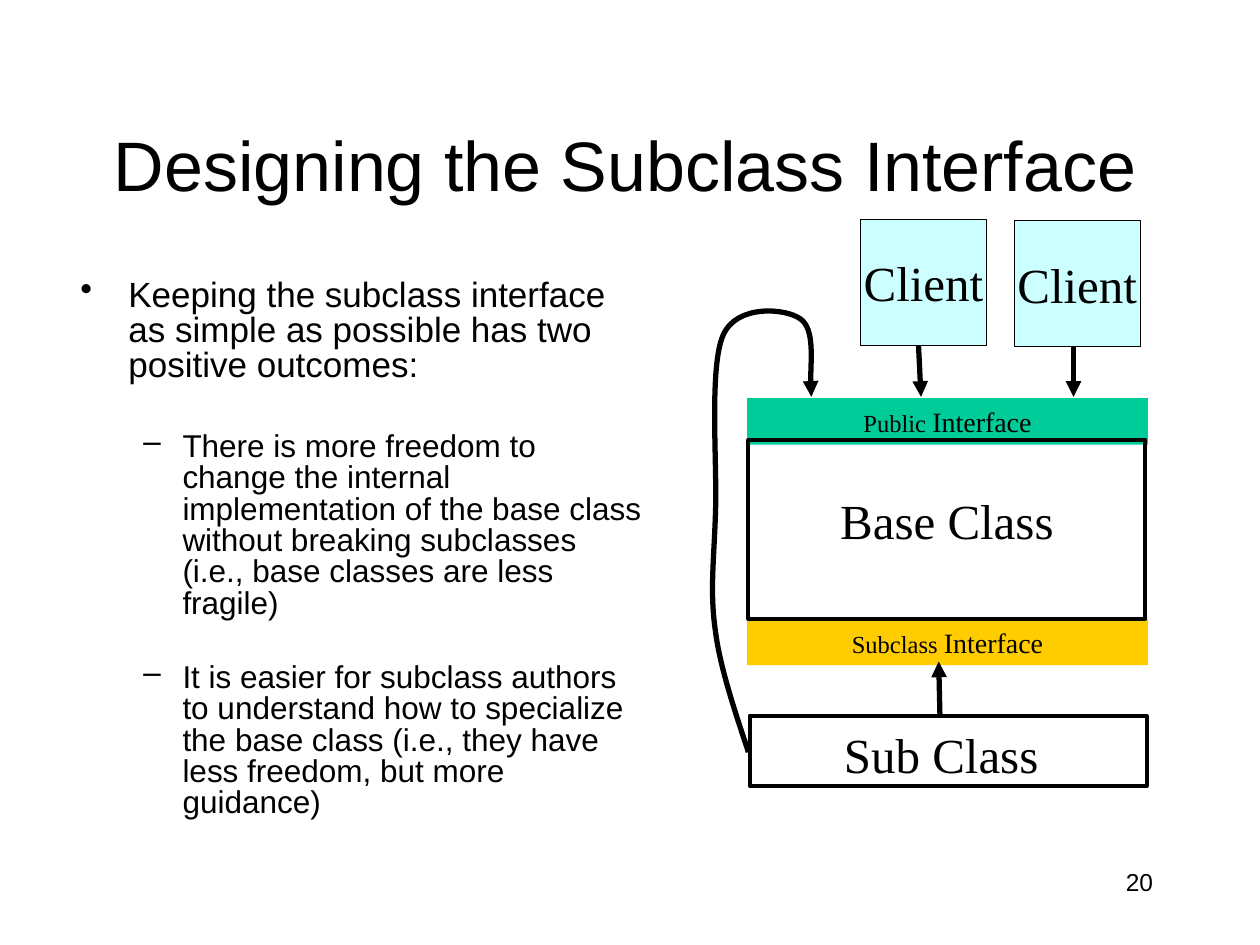
from dataclasses import dataclass
from typing import NamedTuple

import pptx
import pptx.dml.color
import pptx.enum.shapes
import pptx.enum.text
import pptx.oxml.ns
import pptx.oxml.xmlchemy
import pptx.util

COLUMNS, ROWS = 100, 75
CELL = pptx.util.Inches(0.1)
ALIGN = pptx.enum.text.PP_ALIGN
ANCHOR = pptx.enum.text.MSO_ANCHOR
SHAPE = pptx.enum.shapes.MSO_SHAPE


@dataclass(frozen=True)
class Theme:
    ink: str = "000000"
    client: str = "CCFFFF"
    public: str = "00CC99"
    subclass: str = "FFCC00"
    sans: str = "Arial"
    serif: str = "Times New Roman"
    title: int = 40
    label: int = 28
    point: int = 20
    subpoint: int = 18
    bar: int = 16
    small: int = 14
    thin: float = 0.75
    border: float = 2.25
    arrow: float = 3


THEME = Theme()


class Area(NamedTuple):
    """Left, top, width and height in grid cells."""
    left: float
    top: float
    width: float
    height: float


class Block(NamedTuple):
    area: Area
    fill: str | None = None
    border: float | None = None


class Arrow(NamedTuple):
    start: tuple[float, float]
    end: tuple[float, float]


class Point(NamedTuple):
    text: str
    bullet: str
    size: int
    margin: float
    hanging: float
    before: float


CLIENTS = [Block(Area(left, top, 10, 10), THEME.client, THEME.thin)
           for left, top in ((68.3, 17.4), (80.5, 17.5))]
BARS = [("Public ", Block(Area(59.3, 31.6, 31.8, 3.7), THEME.public)),
        ("Subclass ", Block(Area(59.3, 49.1, 31.8, 3.7), THEME.subclass))]
CLASSES = [
    ("Base Class", Block(Area(59.4, 34.9, 31.5, 14.2), border=THEME.border),
     Area(65.7, 38.4, 18.9, 5.7)),
    ("Sub Class", Block(Area(59.5, 56.8, 31.5, 5.6), border=THEME.border),
     Area(66, 57, 17.4, 5.7)),
]
ARROWS = [Arrow((72.9, 27.4), (73.1, 31.5)),
          Arrow((85.2, 27.5), (85.2, 31.5)),
          Arrow((74.6, 56.8), (74.5, 52.5))]
# A start, then two control points and an end for each curve
LOOP = [(59.4, 59.7),
        (58.9, 58.1), (57.2, 53.4), (56.8, 50.2),
        (56.3, 46.9), (56.7, 44.3), (56.8, 40.3),
        (56.9, 36.4), (56.3, 29.1), (57.4, 26.6),
        (58.5, 24.1), (62.4, 24.5), (63.5, 25.3),
        (64.7, 26.1), (64.2, 30.2), (64.4, 31.5)]
POINTS = [
    Point("Keeping the subclass interface as simple as possible has two "
          "positive outcomes:", "•", THEME.point, 3.8, 3.8, 0),
    Point("There is more freedom to change the internal implementation of the "
          "base class without breaking subclasses (i.e., base classes are "
          "less fragile)", "–", THEME.subpoint, 8.1, 3.1, 27.5),
    Point("It is easier for subclass authors to understand how to specialize "
          "the base class (i.e., they have less freedom, but more guidance)",
          "–", THEME.subpoint, 8.1, 3.1, 24.5),
]


def cells(count: float) -> int:
    return round(count * CELL)


def color(code: str) -> pptx.dml.color.RGBColor:
    return pptx.dml.color.RGBColor.from_string(code)


def write(para, text: str, *, size: float, font: str = THEME.sans, align=None) -> None:
    """Add one formatted span to a paragraph."""
    span = para.add_run()
    span.text = text
    span.font.size = pptx.util.Pt(size)
    span.font.name = font
    span.font.color.rgb = color(THEME.ink)
    if align is not None:
        para.alignment = align


def add_box(page, area: Area, *, anchor=ANCHOR.TOP, wrap: bool = True):
    box = page.shapes.add_textbox(*map(cells, area))
    box.text_frame.word_wrap = wrap
    box.text_frame.vertical_anchor = anchor
    return box.text_frame


def add_block(page, block: Block, *, wrap: bool = True):
    shape = page.shapes.add_shape(SHAPE.RECTANGLE, *map(cells, block.area))
    shape.shadow.inherit = False
    if block.fill:
        shape.fill.solid()
        shape.fill.fore_color.rgb = color(block.fill)
    else:
        shape.fill.background()
    if block.border:
        shape.line.color.rgb = color(THEME.ink)
        shape.line.width = pptx.util.Pt(block.border)
    else:
        shape.line.fill.background()
    shape.text_frame.word_wrap = wrap
    shape.text_frame.vertical_anchor = ANCHOR.MIDDLE
    return shape.text_frame


def add_child(parent, tag: str, **attributes: str):
    child = pptx.oxml.xmlchemy.OxmlElement(tag)
    for name, value in attributes.items():
        child.set(name, value)
    parent.append(child)
    return child


def style_arrow(shape) -> None:
    """Give a line its colour, weight and head, and no shadow."""
    shape.line.color.rgb = color(THEME.ink)
    shape.line.width = pptx.util.Pt(THEME.arrow)
    properties = shape._element.spPr
    add_child(properties.get_or_add_ln(), "a:tailEnd", type="triangle")
    add_child(properties, "a:effectLst")


def add_arrow(page, arrow: Arrow) -> None:
    style_arrow(page.shapes.add_connector(
        pptx.enum.shapes.MSO_CONNECTOR.STRAIGHT,
        *map(cells, arrow.start + arrow.end)))


def add_curve(page, points: list[tuple[float, float]]) -> None:
    """Build an open outline and turn each three segments into one curve."""
    spots = [(cells(x), cells(y)) for x, y in points]
    builder = page.shapes.build_freeform(*spots[0])
    builder.add_line_segments(spots[1:], close=False)
    shape = builder.convert_to_shape()
    shape.fill.background()
    segments = list(shape._element.iter(pptx.oxml.ns.qn("a:lnTo")))
    outline = segments[0].getparent()
    for first in range(0, len(segments), 3):
        curve = add_child(outline, "a:cubicBezTo")
        for segment in segments[first:first + 3]:
            curve.append(segment[0])
            outline.remove(segment)
    style_arrow(shape)


def add_point(para, point: Point) -> None:
    write(para, point.text, size=point.size)
    para.line_spacing = 0.83
    para.space_before = pptx.util.Pt(point.before)
    properties = para._p.get_or_add_pPr()
    properties.set("marL", str(cells(point.margin)))
    properties.set("indent", str(-cells(point.hanging)))
    add_child(properties, "a:buChar", char=point.bullet)


def main() -> None:
    deck = pptx.Presentation()
    deck.slide_width, deck.slide_height = cells(COLUMNS), cells(ROWS)
    page = deck.slides.add_slide(deck.slide_layouts[6])

    number = add_box(page, Area(71.7, 68.3, 20.8, 5))
    write(number.paragraphs[0], "20", size=THEME.small, align=ALIGN.RIGHT)
    title = add_box(page, Area(5, 6.7, 89.2, 12.5), anchor=ANCHOR.MIDDLE)
    write(title.paragraphs[0], "Designing the Subclass Interface",
          size=THEME.title, align=ALIGN.CENTER)
    body = add_box(page, Area(5.4, 21.7, 46.8, 45))
    for index, point in enumerate(POINTS):
        add_point(body.add_paragraph() if index else body.paragraphs[0], point)

    for name, block in BARS:
        para = add_block(page, block).paragraphs[0]
        write(para, name, size=THEME.small, font=THEME.serif, align=ALIGN.CENTER)
        write(para, "Interface", size=THEME.bar, font=THEME.serif)
    for name, block, label in CLASSES:
        add_block(page, block)
        write(add_box(page, label, wrap=False).paragraphs[0], name,
              size=THEME.label, font=THEME.serif)
    for block in CLIENTS:
        write(add_block(page, block, wrap=False).paragraphs[0], "Client",
              size=THEME.label, font=THEME.serif, align=ALIGN.CENTER)
    for arrow in ARROWS:
        add_arrow(page, arrow)
    add_curve(page, LOOP)
    deck.save("out.pptx")


if __name__ == "__main__":
    main()
